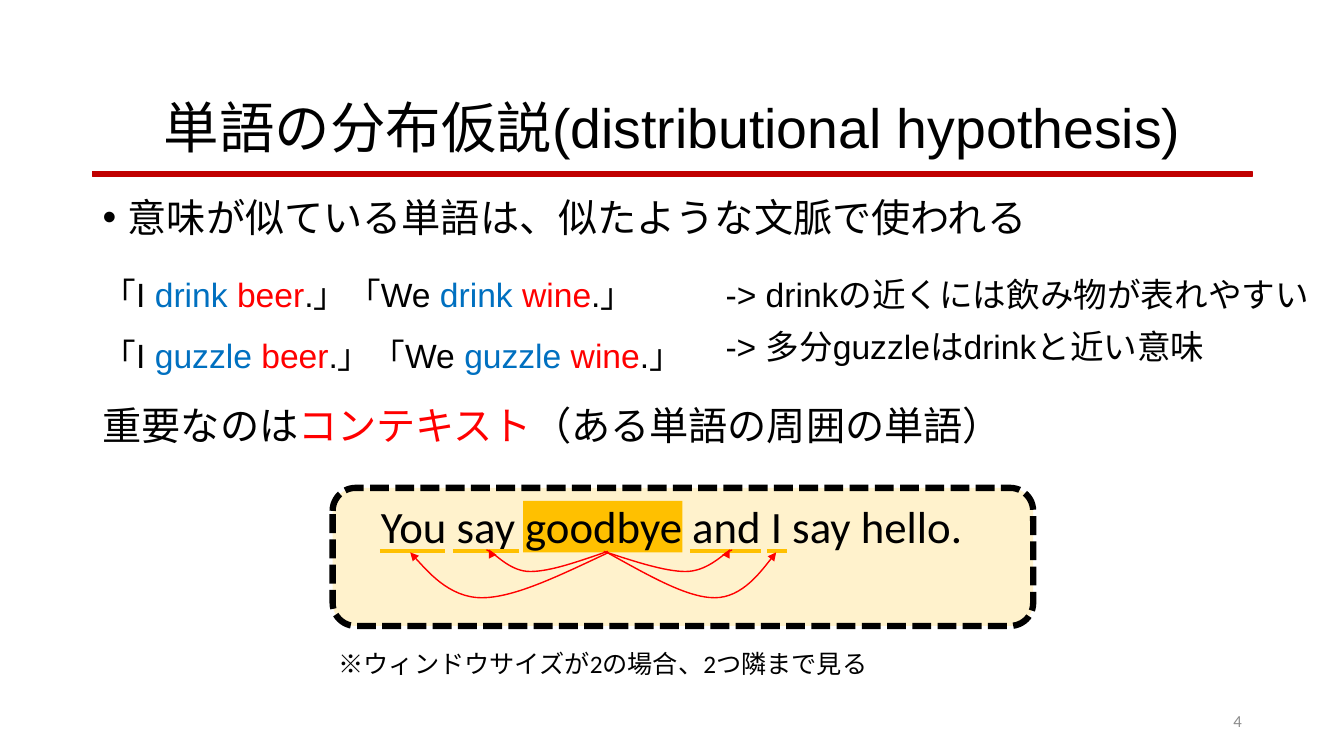
from lxml import etree
from pptx import Presentation
from pptx.dml.color import RGBColor
from pptx.enum.dml import MSO_LINE
from pptx.enum.shapes import MSO_CONNECTOR, MSO_SHAPE
from pptx.enum.text import MSO_ANCHOR, MSO_AUTO_SIZE, PP_ALIGN
from pptx.oxml.ns import qn
from pptx.util import Pt

PX = 9144  # EMU per px, 100 px to the inch

BLACK = RGBColor(0x00, 0x00, 0x00)
GREY = RGBColor(0x8C, 0x8C, 0x8C)
RED = RGBColor(0xFF, 0x00, 0x00)
DARK_RED = RGBColor(0xC0, 0x00, 0x00)
BLUE = RGBColor(0x00, 0x70, 0xC0)
GOLD = RGBColor(0xFF, 0xC0, 0x00)
CREAM = RGBColor(0xFF, 0xF2, 0xCC)

RECTANGLE = MSO_SHAPE.RECTANGLE
ROUNDED = MSO_SHAPE.ROUNDED_RECTANGLE
STRAIGHT = MSO_CONNECTOR.STRAIGHT
DASHED = MSO_LINE.SQUARE_DOT
TOP, MIDDLE = MSO_ANCHOR.TOP, MSO_ANCHOR.MIDDLE
LEFT, CENTER, RIGHT = PP_ALIGN.LEFT, PP_ALIGN.CENTER, PP_ALIGN.RIGHT
NO_AUTOFIT = MSO_AUTO_SIZE.NONE

UNDERLINE_Y = 547
CONTEXT_WORDS = [(377, 441), (449, 515), (685, 755), (761, 781)]

# Start point, then two controls and an end point for each cubic segment
CONTEXT_ARCS = [
    [(599, 547), (629, 557), (660, 567), (680, 567),
     (701, 567), (716, 551), (723, 547), (730, 544), (727, 545), (724, 545)],
    [(603, 547), (574, 557), (546, 567), (526, 567),
     (507, 567), (493, 551), (486, 547), (479, 544), (482, 545), (485, 545)],
    [(602, 548), (642, 570), (681, 593), (709, 593),
     (737, 593), (770, 548), (770, 548)],
    [(604, 548), (557, 570), (511, 593), (478, 593),
     (445, 593), (407, 548), (407, 548)],
]


def emu(*lengths):
    return [round(length * PX) for length in lengths]


def add_text(page, area, content, size, font="Calibri", color=BLACK, align=LEFT,
             anchor=TOP, spacing=None, before=0, bullet=None):
    """Content is a string or a list of (text, colour) spans; \\n breaks the line."""
    box = page.shapes.add_textbox(*emu(*area))
    frame = box.text_frame
    frame.word_wrap = True
    frame.auto_size = NO_AUTOFIT
    frame.vertical_anchor = anchor
    para = frame.paragraphs[0]
    para.alignment = align
    para.space_before = Pt(before)
    if spacing:
        para.line_spacing = spacing
    if bullet:
        props = para._p.get_or_add_pPr()
        indent = emu(25)[0]
        props.set("marL", str(indent))
        props.set("indent", str(-indent))
        etree.SubElement(props, qn("a:buFont")).set("typeface", "Arial")
        etree.SubElement(props, qn("a:buChar")).set("char", bullet)
    spans = [(content, color)] if isinstance(content, str) else content
    for text, span_color in spans:
        if text == "\n":
            para.add_line_break()
            continue
        span = para.add_run()
        span.text = text
        span.font.size = Pt(size)
        span.font.name = font
        span.font.color.rgb = span_color


def add_block(page, kind, area, fill, line=None, width=1, dash=None):
    block = page.shapes.add_shape(kind, *emu(*area))
    block.shadow.inherit = False
    block.fill.solid()
    block.fill.fore_color.rgb = fill
    if line is None:
        block.line.fill.background()
    else:
        block.line.color.rgb = line
        block.line.width = Pt(width)
    if dash:
        block.line.dash_style = dash


def add_underline(page, left, right):
    start_x, end_x, y = emu(left, right, UNDERLINE_Y)
    line = page.shapes.add_connector(STRAIGHT, start_x, y, end_x, y)
    line.line.color.rgb = GOLD
    line.line.width = Pt(3)
    etree.SubElement(line._element.spPr, qn("a:effectLst"))


def bend_segments(shape):
    """Turn every three straight segments into one cubic curve."""
    outline = next(shape._element.iter(qn("a:moveTo"))).getparent()
    straight = outline.findall(qn("a:lnTo"))
    for first in range(0, len(straight), 3):
        curve = etree.SubElement(outline, qn("a:cubicBezTo"))
        for segment in straight[first:first + 3]:
            curve.append(segment[0])
            outline.remove(segment)


def add_curved_arrow(page, start, *points):
    builder = page.shapes.build_freeform(*emu(*start), scale=1.0)
    builder.add_line_segments([emu(*point) for point in points], close=False)
    arrow = builder.convert_to_shape()
    bend_segments(arrow)
    arrow.shadow.inherit = False
    arrow.fill.background()
    arrow.line.color.rgb = RED
    arrow.line.width = Pt(1)
    etree.SubElement(arrow.line._get_or_add_ln(), qn("a:tailEnd")).set("type", "triangle")


def example_spans(verb):
    spans = []
    for subject, drink in [("I", "beer"), ("We", "wine")]:
        spans += [(f"「{subject} ", BLACK), (f"{verb} ", BLUE), (drink, RED), (".」", BLACK)]
    return spans


def main():
    deck = Presentation()
    deck.slide_width, deck.slide_height = emu(4000 / 3, 750)
    page = deck.slides.add_slide(deck.slide_layouts[6])

    # Title and rule
    add_block(page, RECTANGLE, (92, 170, 1150, 5), DARK_RED, line=DARK_RED)
    add_text(page, (92, 67, 1150, 125), "単語の分布仮説(distributional hypothesis)", 39.6,
             font="Arial", align=CENTER, anchor=MIDDLE, spacing=0.9)

    # Hypothesis and example sentences
    add_text(page, (92, 192, 1150, 55), "意味が似ている単語は、似たような文脈で使われる", 28,
             spacing=0.9, before=10, bullet="•")
    examples = example_spans("drink") + [("\n", BLACK)] + example_spans("guzzle")
    add_text(page, (92, 247, 1270, 126), examples, 24, font="Arial", spacing=1.5)
    add_text(page, (710, 247, 742, 66), "-> drinkの近くには飲み物が表れやすい", 24,
             font="Arial", spacing=1.5)
    add_text(page, (710, 318, 726, 50), "-> 多分guzzleはdrinkと近い意味", 24, font="Arial")
    add_text(page, (92, 393, 1038, 57),
             [("重要なのは", BLACK), ("コンテキスト", RED), ("（ある単語の周囲の単語）", BLACK)], 28)

    # Context window
    add_block(page, ROUNDED, (330, 484, 695, 137), CREAM, line=BLACK, width=4.5, dash=DASHED)
    add_block(page, RECTANGLE, (519, 497, 158, 51), GOLD)
    add_text(page, (197, 490, 939, 64), "You say goodbye and I say hello.", 32, align=CENTER)
    for left, right in CONTEXT_WORDS:
        add_underline(page, left, right)
    for arc in CONTEXT_ARCS:
        add_curved_arrow(page, *arc)
    add_text(page, (326, 638, 675, 40), "※ウィンドウサイズが2の場合、2つ隣まで見る", 18)

    # Page number
    add_text(page, (942, 695, 300, 40), "4", 12, color=GREY, align=RIGHT, anchor=MIDDLE)

    deck.save("out.pptx")


if __name__ == "__main__":
    main()
